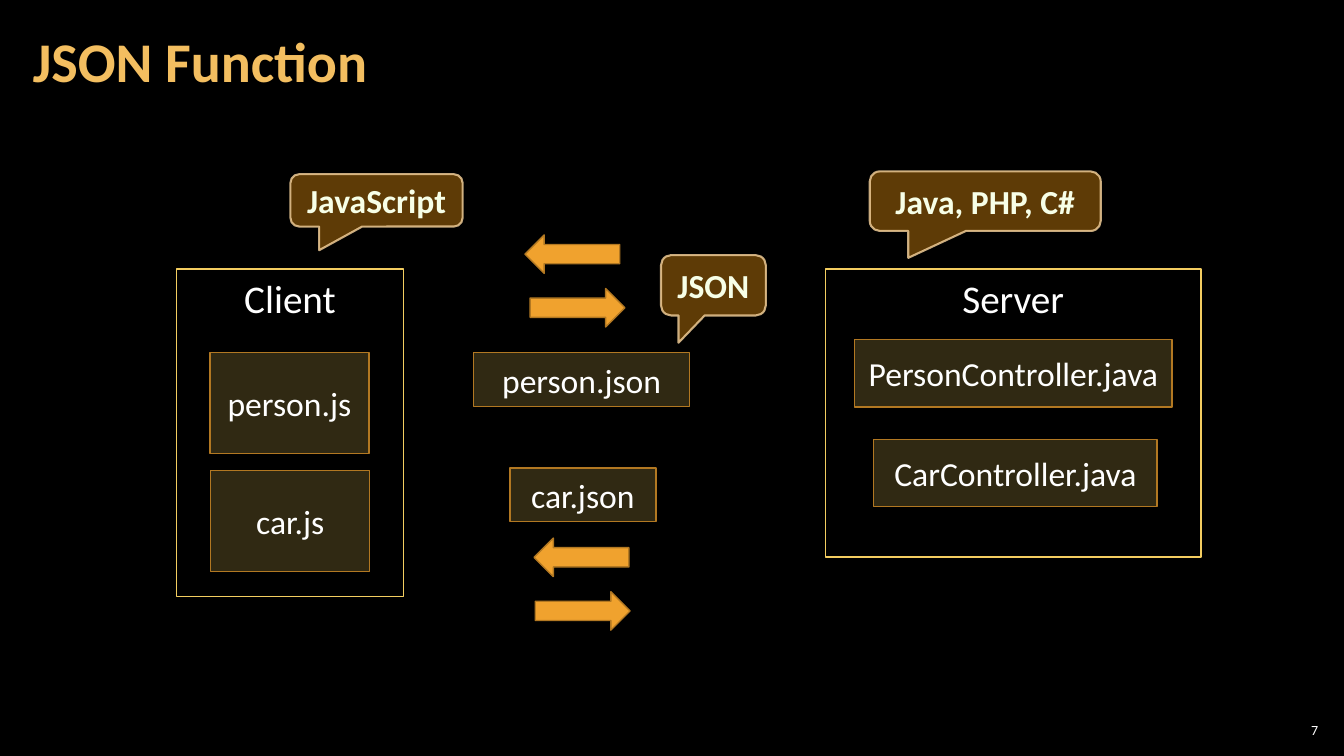
from lxml import etree
from pptx import Presentation
from pptx import util as u
from pptx.dml.color import RGBColor
from pptx.enum import shapes, text
from pptx.oxml.ns import qn

SHAPE = shapes.MSO_SHAPE
ALIGN = text.PP_ALIGN
ANCHOR = text.MSO_ANCHOR
AMBER = "F3CD60"
BRONZE = "B27822"
FILE_HEIGHT = 1.35


def paint(color_format, color, opacity=100):
    """Set a colour from a hex string and an opacity in percent."""
    color_format.rgb = RGBColor.from_string(color)
    if opacity < 100:
        srgb = color_format._xFill.find(qn("a:srgbClr"))
        etree.SubElement(srgb, qn("a:alpha"), val=str(opacity * 1000))


def write(holder, wording, size, color="FFFFFF", bold=False,
          align=ALIGN.CENTER, spacing=1.0, **frame_format):
    """Write one formatted paragraph into a shape or text box."""
    frame = holder.text_frame
    settings = {"word_wrap": True, "vertical_anchor": ANCHOR.MIDDLE, **frame_format}
    for attribute, value in settings.items():
        setattr(frame, attribute, value)
    paragraph = frame.paragraphs[0]
    paragraph.alignment = align
    paragraph.line_spacing = spacing
    run = paragraph.add_run()
    run.text = wording
    for attribute, value in {"name": "Calibri", "size": u.Pt(size), "bold": bold}.items():
        setattr(run.font, attribute, value)
    paint(run.font.color, color)


def add_block(slide, kind, box, fill=None, opacity=100,
              line=BRONZE, line_width=1, line_opacity=100):
    """Add a shape in a box of centimetres with its fill and outline."""
    block = slide.shapes.add_shape(kind, *map(u.Cm, box))
    block.shadow.inherit = False
    if fill:
        block.fill.solid()
        paint(block.fill.fore_color, fill, opacity)
    else:
        block.fill.background()
    block.line.width = u.Pt(line_width)
    block.line.fill.solid()
    paint(block.line.color, line, line_opacity)
    return block


def add_label(slide, box, wording, size, **formats):
    """Add a text box with narrow vertical margins."""
    label = slide.shapes.add_textbox(*map(u.Cm, box))
    write(label, wording, size, margin_top=u.Cm(0.1), margin_bottom=u.Cm(0.1), **formats)


def add_file(slide, box, filename):
    """Add a translucent box that names a file."""
    write(add_block(slide, SHAPE.RECTANGLE, box, AMBER, 20), filename, 24)


def add_callout(slide, box, language):
    """Add a speech bubble that names a language or format."""
    bubble = add_block(slide, SHAPE.ROUNDED_RECTANGULAR_CALLOUT, box, "643F07", 95,
                       line="F8D49E", line_width=1.5, line_opacity=80)
    for index, adjustment in enumerate((-0.333, 0.952, 0.167)):
        bubble.adjustments[index] = adjustment
    write(bubble, language, 24, color="F7FFE7", bold=True)


def add_side(slide, box, heading, files):
    """Add a client or server frame with files offset from its corner."""
    frame = add_block(slide, SHAPE.RECTANGLE, box, line=AMBER)
    write(frame, heading, 28, vertical_anchor=ANCHOR.TOP)
    left, top = box[:2]
    for filename, dx, dy, width, height in files:
        add_file(slide, (left + dx, top + dy, width, height), filename)


def add_arrow_pair(slide, left, top, shift):
    """Add a left arrow with a right arrow below it."""
    for row, kind in enumerate((SHAPE.LEFT_ARROW, SHAPE.RIGHT_ARROW)):
        add_block(slide, kind, (left + row * shift, top + row * 1.35, 2.39, 0.97), "F0A22E")


def add_exchange(slide, box):
    """Add the JSON files and the arrows above and below them."""
    left, top, width, height = box
    add_arrow_pair(slide, left + 1.29, top, 0.13)
    add_file(slide, (left, top + 2.97, width, FILE_HEIGHT), "person.json")
    add_file(slide, (left + 0.91, top + 5.87, 3.68, FILE_HEIGHT), "car.json")
    add_arrow_pair(slide, left + 1.52, top + height - 2.32, 0.03)


def build_slide(prs):
    """Build the slide about the function of JSON."""
    slide = prs.slides.add_slide(prs.slide_layouts[6])
    slide.background.fill.solid()
    paint(slide.background.fill.fore_color, "000000")
    add_label(slide, (0.53, 0.1, 26.6, 3.07), "JSON Function", 40, color="F3BE60", bold=True,
              align=ALIGN.LEFT, spacing=0.9, margin_left=u.Cm(0.3), margin_right=u.Cm(0.3))
    add_label(slide, (32.13, 18.14, 1.19, 0.53), "7", 10, align=ALIGN.RIGHT,
              margin_left=u.Cm(0.1), margin_right=u.Cm(0.1))
    add_side(slide, (4.45, 6.78, 5.72, 8.26), "Client", [
        ("person.js", 0.84, 2.11, 4.01, 2.54),
        ("car.js", 0.86, 5.08, 4.01, 2.54),
    ])
    add_side(slide, (20.8, 6.78, 9.47, 7.26), "Server", [
        ("PersonController.java", 0.74, 1.78, 8, 1.7),
        ("CarController.java", 1.22, 4.29, 7.14, 1.7),
    ])
    add_exchange(slide, (11.94, 5.92, 5.44, 9.96))
    add_callout(slide, (7.32, 4.39, 4.34, 1.32), "JavaScript")
    add_callout(slide, (21.92, 4.32, 5.82, 1.5), "Java, PHP, C#")
    add_callout(slide, (16.66, 6.43, 2.64, 1.52), "JSON")


def main():
    """Create and save the presentation."""
    prs = Presentation()
    prs.slide_width, prs.slide_height = u.Cm(33.87), u.Cm(19.05)
    build_slide(prs)
    prs.save("out.pptx")


if __name__ == "__main__":
    main()
